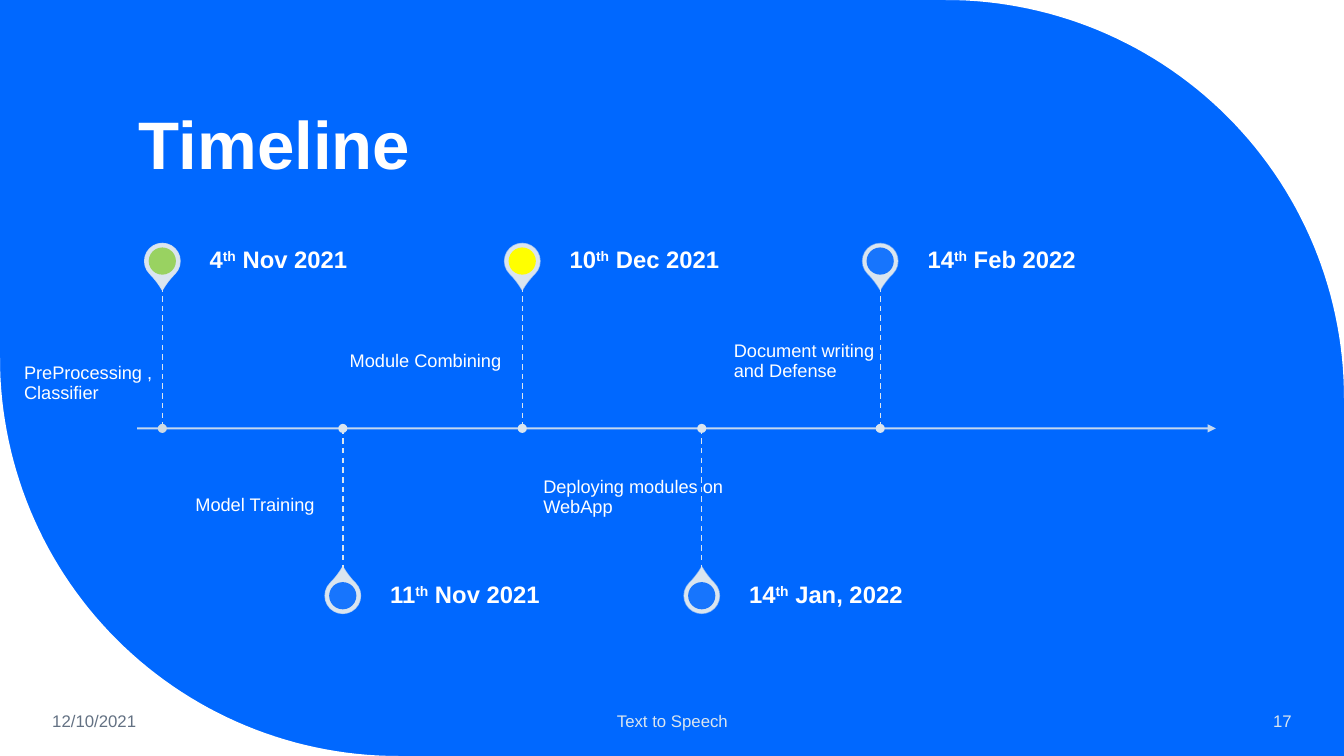
from math import cos, pi, sin

from lxml.etree import SubElement
from pptx import Presentation
from pptx.dml.color import RGBColor
from pptx.enum.dml import MSO_LINE
from pptx.enum.shapes import MSO_CONNECTOR, MSO_SHAPE
from pptx.enum.text import MSO_ANCHOR, PP_ALIGN
from pptx.oxml.ns import qn
from pptx.util import Inches, Pt

COLORS = {"blue": "0068FF", "white": "FFFFFF", "pale": "DAE5EF", "dot": "CEDAE3",
          "green": "92D050", "yellow": "FFFF00", "slate": "637183"}
FONT = "Arial"
AXIS_Y = 4.25
PIN, HOLE, DOT = 0.35, 0.27, 0.09

# centre x, above axis, day, rest of date, hole colour, hole alpha, rim alpha, dot colour
MILESTONES = [
    (1.61, True, "4", " Nov 2021", "green", 89, 89, "dot"),
    (3.4, False, "11", " Nov 2021", "blue", 89, 80, "pale"),
    (5.18, True, "10", " Dec 2021", "yellow", 100, 69, "pale"),
    (6.96, False, "14", " Jan, 2022", "blue", 89, 60, "pale"),
    (8.73, True, "14", " Feb 2022", "blue", 89, 49, "pale"),
]
CAPTIONS = [
    ((0.14, 3.51, 1.7, 0.6), "PreProcessing , Classifier", MSO_ANCHOR.TOP),
    ((1.84, 4.82, 1.53, 0.4), "Model Training", MSO_ANCHOR.TOP),
    ((3.37, 3.39, 1.81, 0.4), "Module Combining", MSO_ANCHOR.TOP),
    ((5.29, 4.63, 2.33, 0.6), "Deploying modules on WebApp", MSO_ANCHOR.BOTTOM),
    ((7.18, 3.29, 1.86, 0.6), "Document writing and Defense", MSO_ANCHOR.TOP),
]
FOOTER = [
    (0.42, 1.86, "12/10/2021", "slate", PP_ALIGN.LEFT),
    (4.42, 4.5, "Text to Speech", "pale", PP_ALIGN.CENTER),
    (11.1, 1.81, "17", "pale", PP_ALIGN.RIGHT),
]


def paint(fill, color, alpha=100):
    """Give a fill a solid colour with an opacity in percent."""
    fill.solid()
    fill.fore_color.rgb = RGBColor.from_string(COLORS[color])
    if alpha < 100:
        tone = fill._xPr.find(qn("a:solidFill"))[0]
        SubElement(tone, qn("a:alpha"), val=str(alpha * 1000))


def add_text(s, box, parts, size, color="white", bold=False, anchor=MSO_ANCHOR.MIDDLE,
             align=PP_ALIGN.LEFT, insets=(0.1, 0.05, 0.1, 0.05), spacing=None):
    """Add a one-paragraph text box; every second part is superscript."""
    tf = s.shapes.add_textbox(*map(Inches, box)).text_frame
    tf.word_wrap = True
    tf.vertical_anchor = anchor
    tf.margin_left, tf.margin_top, tf.margin_right, tf.margin_bottom = map(Inches, insets)
    p = tf.paragraphs[0]
    p.alignment = align
    if spacing:
        p.line_spacing = spacing
    for i, part in enumerate(parts):
        r = p.add_run()
        r.text = part
        r.font.name, r.font.size, r.font.bold = FONT, Pt(size), bold
        r.font.color.rgb = RGBColor.from_string(COLORS[color])
        if i % 2:
            r._r.get_or_add_rPr().set("baseline", "30000")


def add_centred(s, kind, x, y, size, color, alpha=100):
    """Add a borderless shape of equal sides centred on a point."""
    sp = s.shapes.add_shape(kind, *map(Inches, (x - size / 2, y - size / 2, size, size)))
    sp.shadow.inherit = False
    paint(sp.fill, color, alpha)
    sp.line.fill.background()
    return sp


def add_line(s, x1, y1, x2, y2, width, alpha=100):
    """Add a pale straight line without shadow."""
    line = s.shapes.add_connector(MSO_CONNECTOR.STRAIGHT, *map(Inches, (x1, y1, x2, y2)))
    SubElement(line._element.spPr, qn("a:effectLst"))
    line.line.width = Pt(width)
    paint(line.line.fill, "pale", alpha)
    return line


def add_corner(s, box, start):
    """Add a white corner outside a quarter circle that begins at an angle."""
    x, y, size = box
    a, b = start, start + pi / 2
    cx = x if cos(a) + cos(b) > 0 else x + size
    cy = y if sin(a) + sin(b) > 0 else y + size
    arc = [(Inches(cx + size * cos(a + i * pi / 120)), Inches(cy + size * sin(a + i * pi / 120)))
           for i in range(61)]
    tip = (Inches(cx + size * (cos(a) + cos(b))), Inches(cy + size * (sin(a) + sin(b))))
    builder = s.shapes.build_freeform(*arc[0], scale=1.0)
    builder.add_line_segments(arc[1:] + [tip], close=True)
    sp = builder.convert_to_shape()
    sp.shadow.inherit = False
    paint(sp.fill, "white")
    sp.line.fill.background()


def add_axis(s, left, right):
    """Add the arrow that the milestones stand on."""
    axis = add_line(s, left, AXIS_Y, right, AXIS_Y, 1.5, 89)
    SubElement(axis.line._get_or_add_ln(), qn("a:tailEnd"), type="triangle")


def add_milestone(s, x, above, day, rest, hole, hole_alpha, rim_alpha, dot):
    """Add a pin with its date, dashed stem and dot on the axis."""
    side = -1 if above else 1
    y = AXIS_Y + side * 1.66
    pin = add_centred(s, MSO_SHAPE.TEAR, x, y, PIN, "pale")
    pin.adjustments[0] = 1.15
    pin.rotation = 135 if above else 315
    paint(pin.line.fill, "pale", rim_alpha)
    pin.line.width = Pt(1)
    add_centred(s, MSO_SHAPE.OVAL, x, y, HOLE, hole, hole_alpha)
    add_text(s, (x + 0.47, y - 0.25, 2.53, 0.5), (day, "th", rest), 17, bold=True,
             insets=(0, 0, 0.12, 0), spacing=0.9)
    ends = sorted((AXIS_Y, AXIS_Y + side * 1.41))
    stem = add_line(s, x, ends[0], x, ends[1], 1)
    stem.line.dash_style = MSO_LINE.DASH
    add_centred(s, MSO_SHAPE.OVAL, x, AXIS_Y, DOT, dot)


def add_footer(s, top, height):
    """Add the date, the deck name and the page number."""
    for left, width, text, color, align in FOOTER:
        add_text(s, (left, top, width, height), (text,), 12, color, align=align)


def add_timeline_slide(prs):
    """Add the timeline slide."""
    s = prs.slides.add_slide(prs.slide_layouts[6])
    paint(s.background.fill, "blue")
    add_corner(s, (9.38, 0, 3.95), -pi / 2)
    add_corner(s, (0, 3.55, 3.95), pi / 2)
    add_text(s, (1.28, 0.42, 10.69, 1.45), ("Timeline",), 48, bold=True,
             anchor=MSO_ANCHOR.BOTTOM, spacing=0.9)
    add_axis(s, 1.36, 12.06)
    for milestone in MILESTONES:
        add_milestone(s, *milestone)
    add_footer(s, 6.95, 0.4)
    for box, text, anchor in CAPTIONS:
        add_text(s, box, (text,), 13, anchor=anchor, insets=(0.1,) * 4, spacing=0.9)


def main():
    """Build and save the presentation."""
    prs = Presentation()
    prs.slide_width, prs.slide_height = Inches(13.33), Inches(7.5)
    add_timeline_slide(prs)
    prs.save("out.pptx")


if __name__ == "__main__":
    main()
